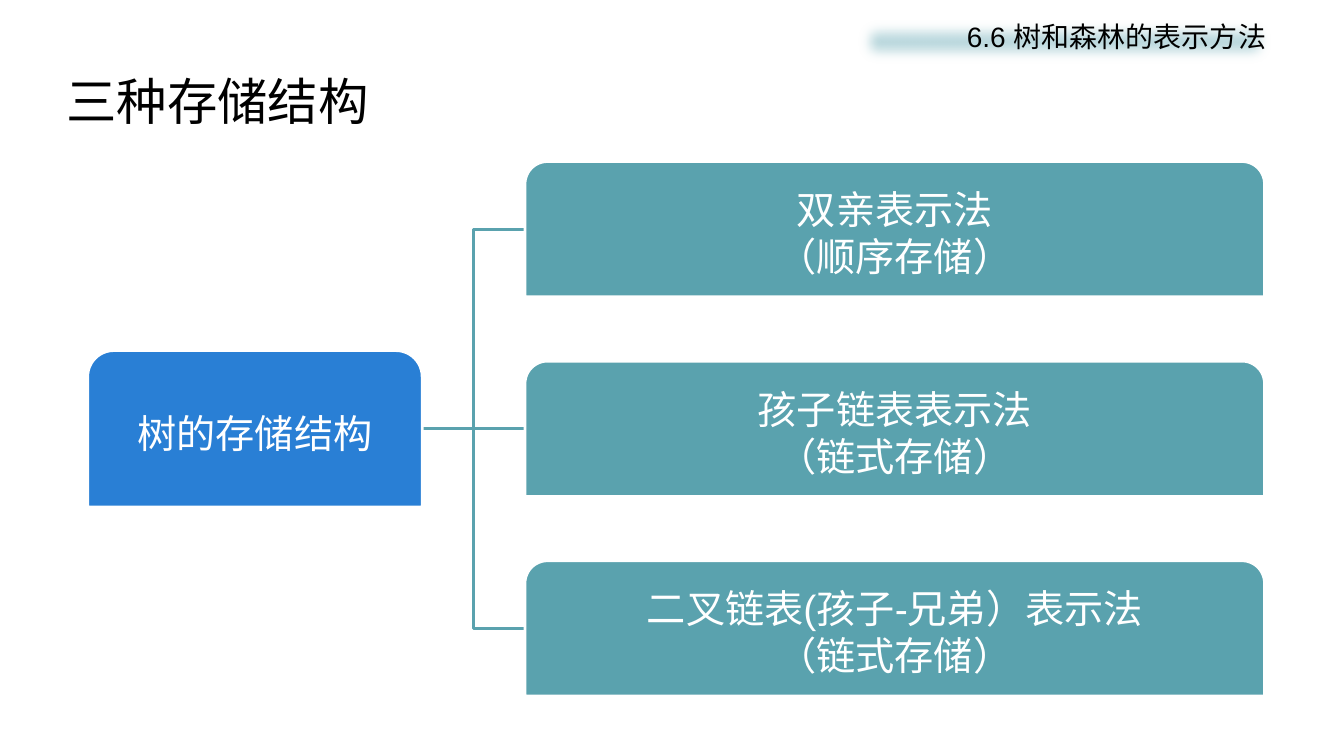
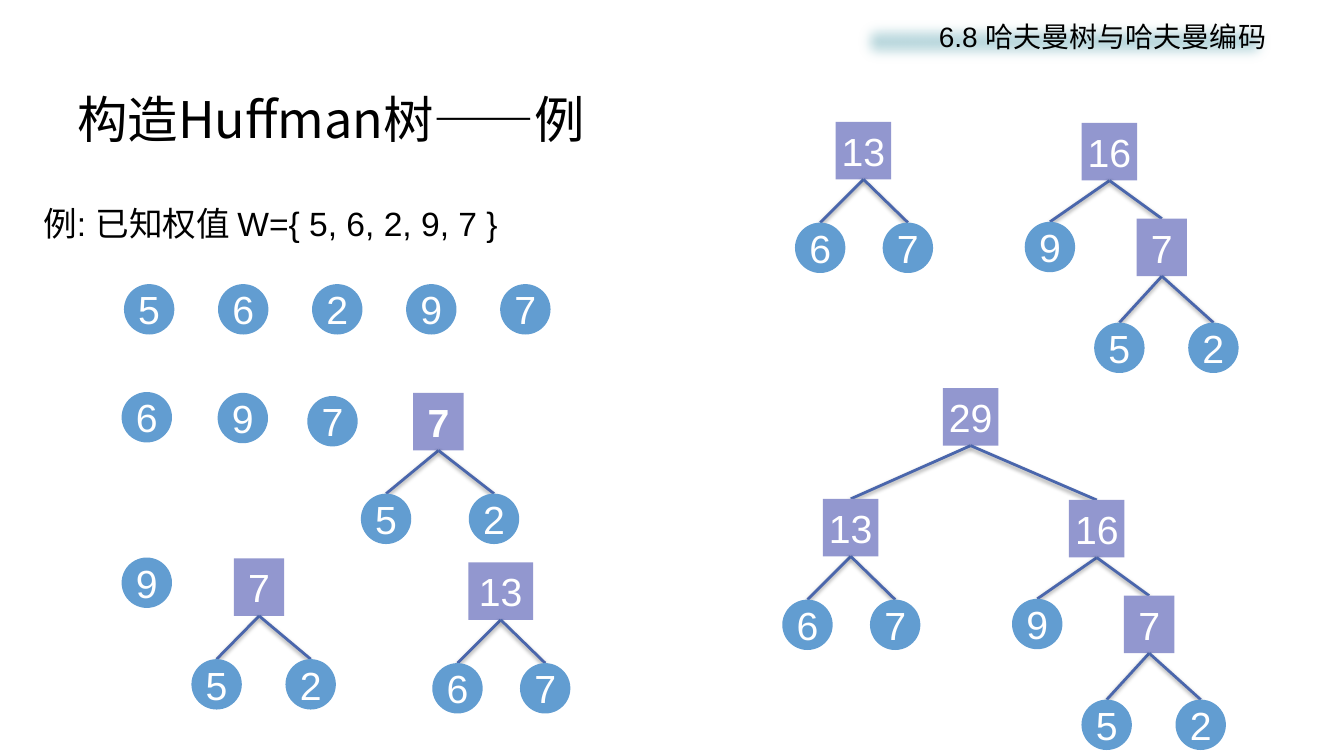
from dataclasses import dataclass

from lxml.etree import SubElement
from pptx import Presentation
from pptx.dml.color import RGBColor
from pptx.enum.shapes import MSO_CONNECTOR, MSO_SHAPE
from pptx.enum.text import MSO_ANCHOR, PP_ALIGN
from pptx.oxml.ns import qn
from pptx.util import Cm, Pt


@dataclass(frozen=True)
class Theme:
    """Colours, fonts and type sizes shared by the slides."""
    ink: str = "000000"
    paper: str = "FFFFFF"
    band: str = "BDDADF"
    root: str = "297FD5"
    method: str = "5AA2AE"
    leaf: str = "629DD1"
    inner: str = "9297CF"
    edge: str = "4A66AC"
    latin: str = "Arial"
    cjk: str = "Noto Sans CJK SC"
    title: int = 36
    label: int = 28
    body: int = 24
    header: int = 20
    line: int = 2


T = Theme()
DISC, BOX_H = 1.27, 1.45


@dataclass(frozen=True)
class Node:
    """A tree node, placed relative to its parent's top centre in cm."""
    text: str
    dx: float = 0
    dy: float = 0
    kids: tuple = ()
    width: float = DISC
    bold: bool = False


def pair(left, right, dx_left, dx_right, dy=2.54):
    """Return two leaves that hang at the same depth."""
    return Node(left, dx_left, dy), Node(right, dx_right, dy)


def thirteen(dx=0, dy=0, width=1.4):
    """Return the tree that joins 6 and 7."""
    return Node("13", dx, dy, pair("6", "7", -1.09, 1.12), width)


def sixteen(dx=0, dy=0):
    """Return the tree that joins 9 with the tree of 5 and 2."""
    seven = Node("7", 1.32, 2.41, pair("5", "2", -1.07, 1.3, 2.62))
    return Node("16", dx, dy, (Node("9", -1.5, 2.49), seven), 1.4)


METHODS = (
    ("双亲表示法", "（顺序存储）"),
    ("孩子链表表示法", "（链式存储）"),
    ("二叉链表(孩子-兄弟）表示法", "（链式存储）"),
)
WEIGHTS = ("5", "6", "2", "9", "7")
FOREST = (
    (3.7, 9.88, Node("6")),
    (6.12, 9.9, Node("9")),
    (8.38, 9.98, Node("7")),
    (11.05, 9.9, Node("7", kids=pair("5", "2", -1.32, 1.4), bold=True)),
    (3.7, 14.05, Node("9")),
    (6.53, 14.07, Node("7", kids=pair("5", "2", -1.07, 1.3))),
    (12.62, 14.17, thirteen(width=1.63)),
    (21.76, 3.07, thirteen()),
    (27.96, 3.1, sixteen()),
    (24.46, 9.78, Node("29", kids=(thirteen(-3.02, 2.79), sixteen(3.18, 2.82)), width=1.4)),
)


def apply(obj, values):
    """Set each attribute named in a dict."""
    for name, value in values.items():
        setattr(obj, name, value)


def write(sp, lines, size, color=T.paper, font=T.latin, align=PP_ALIGN.CENTER,
          bold=False, **frame):
    """Fill a shape with one paragraph per line."""
    tf = sp.text_frame
    apply(tf, {"word_wrap": True, "vertical_anchor": MSO_ANCHOR.MIDDLE, **frame})
    for i, line in enumerate(lines):
        p = tf.add_paragraph() if i else tf.paragraphs[0]
        p.alignment = align
        r = p.add_run()
        r.text = line
        apply(r.font, {"name": font, "size": Pt(size), "bold": bold})
        r.font.color.rgb = RGBColor.from_string(color)
        SubElement(r.font._element, qn("a:ea"), typeface=T.cjk)


def insets(x, y):
    """Return text margins in cm as format values."""
    return {"margin_left": Cm(x), "margin_right": Cm(x),
            "margin_top": Cm(y), "margin_bottom": Cm(y)}


def add_text(s, box, text, size, **fmt):
    """Add a left-aligned text box."""
    sp = s.shapes.add_textbox(*map(Cm, box))
    write(sp, [text], size, T.ink, align=PP_ALIGN.LEFT, **fmt)


def add_block(s, kind, box, fill, outline=None):
    """Add a flat filled shape, outlined only on request."""
    sp = s.shapes.add_shape(kind, *map(Cm, box))
    sp.shadow.inherit = False
    sp.fill.solid()
    sp.fill.fore_color.rgb = RGBColor.from_string(fill)
    if outline:
        sp.line.width = Pt(T.line)
        sp.line.color.rgb = RGBColor.from_string(outline)
    else:
        sp.line.fill.background()
    return sp


def add_line(s, kind, start, end, color):
    """Add a connector and return its empty effect list."""
    cx = s.shapes.add_connector(kind, *map(Cm, (*start, *end)))
    cx.line.width = Pt(T.line)
    cx.line.color.rgb = RGBColor.from_string(color)
    return SubElement(cx._element.spPr, qn("a:effectLst"))


def add_edge(s, start, end):
    """Add a tree edge with a soft drop shadow."""
    effects = add_line(s, MSO_CONNECTOR.STRAIGHT, start, end, T.edge)
    shadow = SubElement(effects, qn("a:outerShdw"), blurRad="40000", dist="20000",
                        dir="5400000", rotWithShape="0")
    black = SubElement(shadow, qn("a:srgbClr"), val=T.ink)
    SubElement(black, qn("a:alpha"), val="38000")


def add_tree(s, x, top, node):
    """Draw a node and, below it, its subtrees."""
    inner = bool(node.kids)
    kind, fill, height = ((MSO_SHAPE.RECTANGLE, T.inner, BOX_H) if inner
                          else (MSO_SHAPE.OVAL, T.leaf, DISC))
    sp = add_block(s, kind, (x - node.width / 2, top, node.width, height), fill)
    write(sp, [node.text], T.label, bold=node.bold, word_wrap=inner, **insets(0.1, 0.1))
    for kid in node.kids:
        kid_x, kid_top = x + kid.dx, top + kid.dy
        add_edge(s, (x, top + height), (kid_x, kid_top))
        add_tree(s, kid_x, kid_top, kid)


def add_card(s, box, lines, fill):
    """Add a card with two rounded top corners."""
    sp = add_block(s, MSO_SHAPE.ROUND_2_SAME_RECTANGLE, box, fill, T.paper)
    write(sp, lines, T.label, **insets(0.05, 0.05))


def add_page(prs, section, title, left, top):
    """Add a slide with its section band and title."""
    s = prs.slides.add_slide(prs.slide_layouts[6])
    add_text(s, (left, top, 30.48, 1.9), title, T.title, font=T.cjk)
    band = add_block(s, MSO_SHAPE.RECTANGLE, (21.49, 0.36, 10.67, 1.37), T.band)
    effects = band._element.spPr.find(qn("a:effectLst"))
    SubElement(effects, qn("a:softEdge"), rad="127000")
    write(band, [section], T.header, T.ink, align=PP_ALIGN.RIGHT,
          vertical_anchor=MSO_ANCHOR.TOP)
    return s


def storage_slide(prs):
    """Show the three ways to store a tree."""
    s = add_page(prs, "6.6 树和森林的表示方法", "三种存储结构", 1.42, 1.57)
    left, top, width, height, pitch = 13.23, 4.07, 18.64, 3.41, 5.03
    root_left, root_width, root_height = 2.21, 8.43, 3.94
    middle = top + pitch + height / 2
    start = (root_left + root_width, middle)
    tops = [top + i * pitch for i in range(len(METHODS))]
    for y in tops:
        end = (left, y + height / 2)
        kind = MSO_CONNECTOR.STRAIGHT if end[1] == middle else MSO_CONNECTOR.ELBOW
        add_line(s, kind, start, end, T.method)
    add_card(s, (root_left, middle - root_height / 2, root_width, root_height),
             ["树的存储结构"], T.root)
    for y, lines in zip(tops, METHODS):
        add_card(s, (left, y, width, height), lines, T.method)


def huffman_slide(prs):
    """Show how a Huffman tree grows from its weights."""
    s = add_page(prs, "6.8 哈夫曼树与哈夫曼编码", "构造Huffman树——例", 1.7, 2.03)
    add_text(s, (0.84, 4.98, 14.2, 1.27), "例: 已知权值 W={ 5, 6, 2, 9, 7 }", T.body,
             word_wrap=False)
    for i, weight in enumerate(WEIGHTS):
        add_tree(s, 3.76 + 2.37 * i, 7.16, Node(weight))
    for x, top, node in FOREST:
        add_tree(s, x, top, node)


def main():
    """Build and save the presentation."""
    prs = Presentation()
    apply(prs, {"slide_width": Cm(33.87), "slide_height": Cm(19.05)})
    storage_slide(prs)
    huffman_slide(prs)
    prs.save("out.pptx")


if __name__ == "__main__":
    main()
